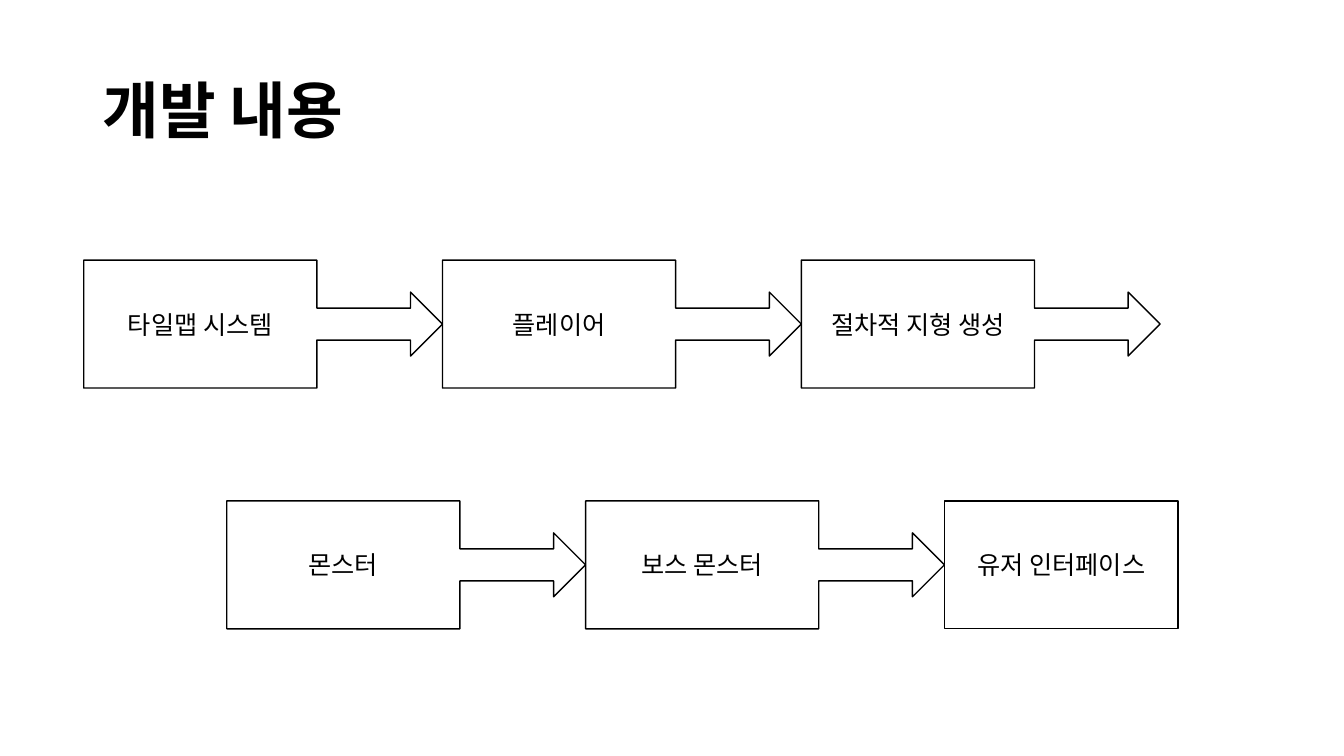
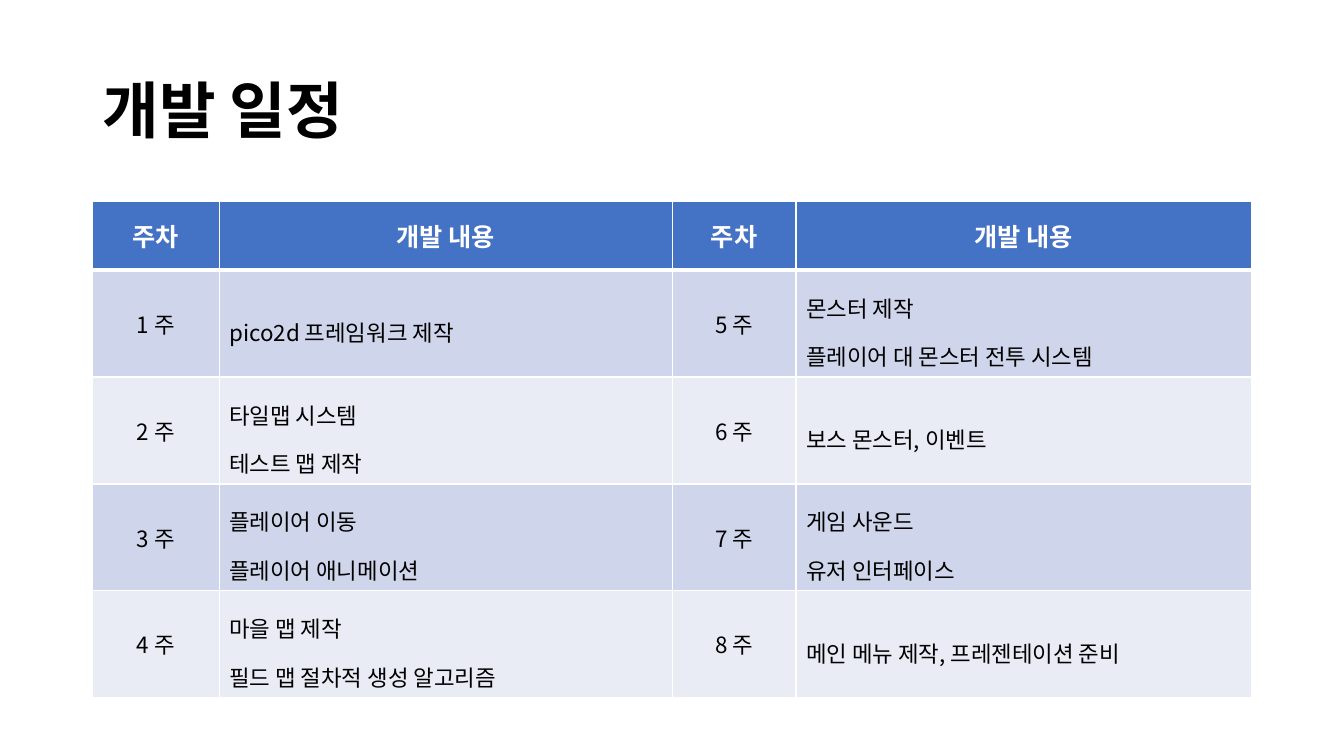
"""Build two slides: a flow of development topics and a weekly schedule."""
from lxml.etree import SubElement
from pptx import Presentation
from pptx.dml.color import RGBColor as Rgb
from pptx.enum.shapes import MSO_SHAPE as Shape
from pptx.enum.text import MSO_ANCHOR as Anchor, PP_ALIGN as Align
from pptx.oxml.ns import qn
from pptx.util import Pt

FACE = "Noto Sans CJK KR"
HUES = {"ink": "000000", "paper": "FFFFFF", "head": "4472C4",
        "odd": "CFD5EA", "even": "E9EBF5"}
STYLES = {
    "title": {"size": Pt(44), "bold": True, "hue": "ink"},
    "step": {"size": Pt(18), "bold": False, "hue": "ink"},
    "head": {"size": Pt(18), "bold": True, "hue": "paper"},
    "body": {"size": Pt(16), "bold": False, "hue": "ink"},
}
FLOW = [
    (59.8, 185.8, ["타일맵 시스템", "플레이어", "절차적 지형 생성"]),
    (162, 357.8, ["몬스터", "보스 몬스터", "유저 인터페이스"]),
]
LAST = "유저 인터페이스"
STEP_W, BOX_W, STEP_H = 256.3, 167, 91.4
HEADS = ["주차", "개발 내용"]
WEEKS = [
    ["pico2d 프레임워크 제작"],
    ["타일맵 시스템", "테스트 맵 제작"],
    ["플레이어 이동", "플레이어 애니메이션"],
    ["마을 맵 제작", "필드 맵 절차적 생성 알고리즘"],
    ["몬스터 제작", "플레이어 대 몬스터 전투 시스템"],
    ["보스 몬스터, 이벤트"],
    ["게임 사운드", "유저 인터페이스"],
    ["메인 메뉴 제작, 프레젠테이션 준비"],
]
COLS = [90.6, 323.6, 88.4, 325.4]
HEAD_H, ROW_H = 49, 71.3


def color(name):
    return Rgb.from_string(HUES[name])


def write(frame, lines, style, align, gap=1.0):
    look = dict(STYLES[style])
    hue = look.pop("hue")
    for i, line in enumerate(lines):
        para = frame.add_paragraph() if i else frame.paragraphs[0]
        para.alignment, para.line_spacing = align, gap
        run = para.add_run()
        run.text = line
        run.font.name = FACE
        for key, value in look.items():
            setattr(run.font, key, value)
        run.font.color.rgb = color(hue)
        SubElement(run._r.get_or_add_rPr(), qn("a:ea"), typeface=FACE)


def add_slide(deck, text):
    slide = deck.slides.add_slide(deck.slide_layouts[5])
    title = slide.shapes.title
    title.left, title.top, title.width, title.height = map(Pt, (66, 28.8, 828, 104.4))
    title.text_frame.vertical_anchor = Anchor.MIDDLE
    write(title.text_frame, [text], "title", Align.LEFT, 0.9)
    return slide


def add_step(slide, text, left, top):
    kind, width = Shape.RIGHT_ARROW_CALLOUT, STEP_W
    if text == LAST:
        kind, width = Shape.RECTANGLE, BOX_W
    step = slide.shapes.add_shape(kind, *map(Pt, (left, top, width, STEP_H)))
    step.shadow.inherit = False
    step.fill.solid()
    step.fill.fore_color.rgb = color("paper")
    step.line.color.rgb = color("ink")
    step.line.width = Pt(1)
    step.text_frame.word_wrap = True
    step.text_frame.vertical_anchor = Anchor.MIDDLE
    write(step.text_frame, [text], "step", Align.CENTER)


def edge(cell, is_head):
    props = cell._tc.get_or_add_tcPr()
    for side in "LRTB":
        width = Pt(3 if is_head and side == "B" else 1)
        line = SubElement(props, qn(f"a:ln{side}"), w=str(int(width)))
        fill = SubElement(line, qn("a:solidFill"))
        SubElement(fill, qn("a:srgbClr"), val=HUES["paper"])


def add_plan(slide):
    half = len(WEEKS) // 2
    rows = [[[head] for head in HEADS * 2]]
    for i in range(half):
        rows.append([lines for n in (i, i + half)
                     for lines in ([f"{n + 1} 주"], WEEKS[n])])
    height = HEAD_H + ROW_H * half
    table = slide.shapes.add_table(len(rows), len(COLS), Pt(66), Pt(144),
                                   Pt(sum(COLS)), Pt(height)).table
    for col, width in zip(table.columns, COLS):
        col.width = Pt(width)
    for r, row in enumerate(rows):
        table.rows[r].height = Pt(ROW_H if r else HEAD_H)
        hue = ("odd" if r % 2 else "even") if r else "head"
        for c, lines in enumerate(row):
            cell = table.cell(r, c)
            edge(cell, r == 0)
            cell.fill.solid()
            cell.fill.fore_color.rgb = color(hue)
            cell.vertical_anchor = Anchor.MIDDLE
            is_text = r > 0 and c % 2 == 1
            write(cell.text_frame, lines, "body" if r else "head",
                  Align.JUSTIFY if is_text else Align.CENTER,
                  1.5 if is_text else 1.0)


def main():
    deck = Presentation()
    deck.slide_width, deck.slide_height = Pt(960), Pt(540)
    slide = add_slide(deck, "개발 내용")
    for left, top, names in FLOW:
        for i, name in enumerate(names):
            add_step(slide, name, left + i * STEP_W, top)
    add_plan(add_slide(deck, "개발 일정"))
    deck.save("out.pptx")


if __name__ == "__main__":
    main()
